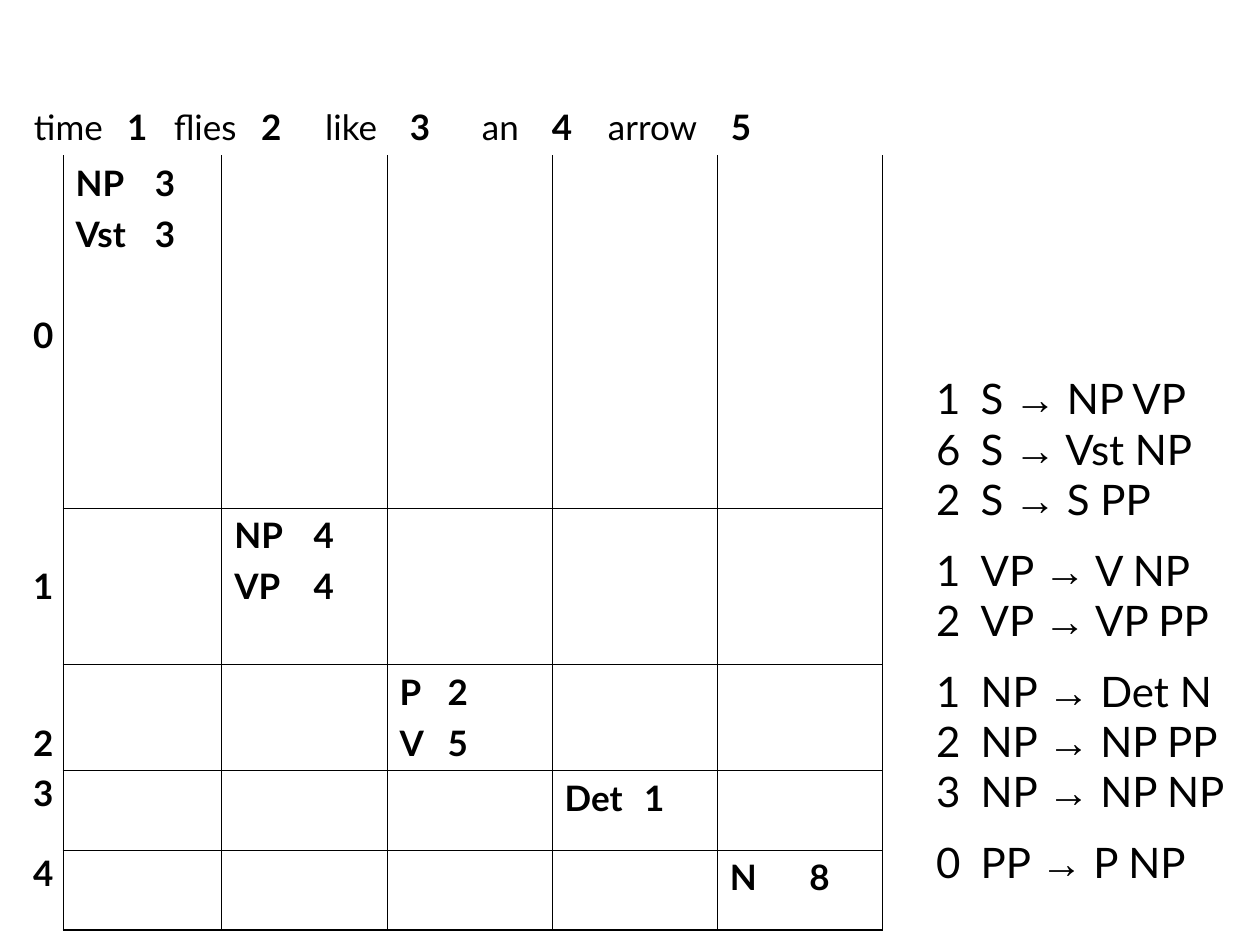
"""Build a slide with a parsing chart and its weighted grammar."""
from pptx import Presentation
from pptx import util as u
from pptx.dml.color import RGBColor
from pptx.enum import text
from pptx.oxml import parse_xml
from pptx.oxml.ns import nsdecls

BLACK = RGBColor(0, 0, 0)
THIN, THICK = u.Pt(0.45), u.Pt(1.08)
COLUMNS = [0.84, 3.2] + [3.33] * 4
ROWS = [1.12, 7.11, 3.15, 2.13, 1.61, 1.61]
HEADER = ["time", "1", "flies", "2", "like", "3", "an", "4", "arrow", "5"]
HEADER_TABS = [1.88, 2.82, 4.58, 5.87, 7.58, 9.03, 10.44, 11.57, 14.05]
ENTRIES = [
    (["NP\t3", "Vst\t3"], 1.6),
    (["NP\t4", "VP\t4"], 1.6),
    (["P\t2", "V\t5"], 0.97),
    (["Det\t1"], 1.6),
    (["N\t8"], 1.6),
]
LABELS = [
    {"margin_top": 3.2, "line_spacing": 1},
    {"margin_top": 0.13, "line_spacing": 2.2},
    {"margin_top": 0.13, "line_spacing": 2.2},
    {"margin_top": 0.13, "line_spacing": 0.9},
    {"margin_top": 0.13, "line_spacing": 0.9},
]
GRAMMAR = [
    [(1, "S", "NP VP"), (6, "S", "Vst NP"), (2, "S", "S PP")],
    [(1, "VP", "V NP"), (2, "VP", "VP PP")],
    [(1, "NP", "Det N"), (2, "NP", "NP PP"), (3, "NP", "NP NP")],
    [(0, "PP", "P NP")],
]


def format_object(target, values):
    """Set every attribute named in values on the target."""
    for name, value in values.items():
        setattr(target, name, value)


def add_tabs(para, stops):
    """Give the paragraph left tab stops at the given centimetres."""
    tabs = "".join(f'<a:tab pos="{u.Cm(stop)}" algn="l"/>' for stop in stops)
    para._p.get_or_add_pPr().append(
        parse_xml(f'<a:tabLst {nsdecls("a")}>{tabs}</a:tabLst>'))


def add_span(para, wording, size, bold=False, font="Lato"):
    """Add one formatted run to the paragraph."""
    span = para.add_run()
    span.text = wording
    format_object(span.font, {"name": font, "size": u.Pt(size), "bold": bold})
    span.font.color.rgb = BLACK


def next_para(frame, index):
    """Return the first paragraph of the frame or add another."""
    return frame.paragraphs[0] if index == 0 else frame.add_paragraph()


def set_borders(cell, widths):
    """Draw the cell sides that have a width and clear the others."""
    properties = cell._tc.get_or_add_tcPr()
    for side in "LRTB":
        width = widths.get(side, 0)
        paint = (f'<a:solidFill><a:srgbClr val="{BLACK}"/></a:solidFill>'
                 if width else "<a:noFill/>")
        properties.append(parse_xml(
            f'<a:ln{side} {nsdecls("a")} w="{width}">{paint}</a:ln{side}>'))
    cell.fill.background()


def grid_borders(row, column):
    """Return the border widths for a position in the chart."""
    last = len(ROWS) - 1
    if row == 0:
        return {}
    if column == 0:
        return {"R": THIN}
    widths = {"L": THIN, "R": THICK if column == last else THIN,
              "B": THICK if row == last else THIN}
    if row > 1:
        widths["T"] = THIN
    return widths


def fill_header(cell):
    """Write the sentence with its bold position numbers."""
    para = cell.text_frame.paragraphs[0]
    add_tabs(para, HEADER_TABS)
    for index, word in enumerate(HEADER):
        lead = "\t" if index else ""
        add_span(para, lead + word, 20, bold=index % 2 == 1)


def fill_label(cell, number, layout):
    """Write a start position beside its chart row."""
    format_object(cell, {"margin_left": u.Cm(0.2), "margin_right": u.Cm(0.15),
                         "margin_top": u.Cm(layout["margin_top"])})
    para = cell.text_frame.paragraphs[0]
    format_object(para, {"alignment": text.PP_ALIGN.CENTER,
                         "line_spacing": layout["line_spacing"]})
    add_span(para, str(number), 20, bold=True)


def fill_entries(cell, entries, stop):
    """Write the weighted categories of one chart cell."""
    for index, entry in enumerate(entries):
        para = next_para(cell.text_frame, index)
        add_tabs(para, [stop])
        para.space_before = u.Pt(5 if index else 0)
        add_span(para, entry, 20, bold=True)


def add_parse_chart(page):
    """Add the table that holds the sentence and the parse entries."""
    table = page.shapes.add_table(
        len(ROWS), len(COLUMNS), u.Cm(0.43), u.Cm(2.01),
        u.Cm(sum(COLUMNS)), u.Cm(sum(ROWS))).table
    format_object(table, {"first_row": False, "horz_banding": False})
    for column, width in zip(table.columns, COLUMNS):
        column.width = u.Cm(width)
    for row, height in zip(table.rows, ROWS):
        row.height = u.Cm(height)
    for row in range(len(ROWS)):
        for column in range(len(COLUMNS)):
            set_borders(table.cell(row, column), grid_borders(row, column))
    table.cell(0, 0).merge(table.cell(0, len(COLUMNS) - 1))
    fill_header(table.cell(0, 0))
    for number, (entries, stop) in enumerate(ENTRIES):
        fill_label(table.cell(number + 1, 0), number, LABELS[number])
        fill_entries(table.cell(number + 1, number + 1), entries, stop)


def add_grammar(page):
    """Add the list of weighted rules, spaced by left-hand side."""
    box = page.shapes.add_textbox(u.Cm(18.62), u.Cm(7.39), u.Cm(6.78), u.Cm(10.62))
    frame = box.text_frame
    frame.word_wrap = True
    rules = [(place, rule) for group in GRAMMAR for place, rule in enumerate(group)]
    for index, (place, (weight, left, right)) in enumerate(rules):
        para = next_para(frame, index)
        add_tabs(para, [0.9])
        para.line_spacing = 1.4 if index and place == 0 else 1.0
        add_span(para, f"{weight}\t{left} ", 24)
        add_span(para, "→", 24, font="Arial")
        add_span(para, f" {right}", 24)


def main():
    """Build and save the deck."""
    deck = Presentation()
    format_object(deck, {"slide_width": u.Cm(25.4), "slide_height": u.Cm(19.05)})
    page = deck.slides.add_slide(deck.slide_layouts[6])
    add_parse_chart(page)
    add_grammar(page)
    deck.save("out.pptx")


if __name__ == "__main__":
    main()
